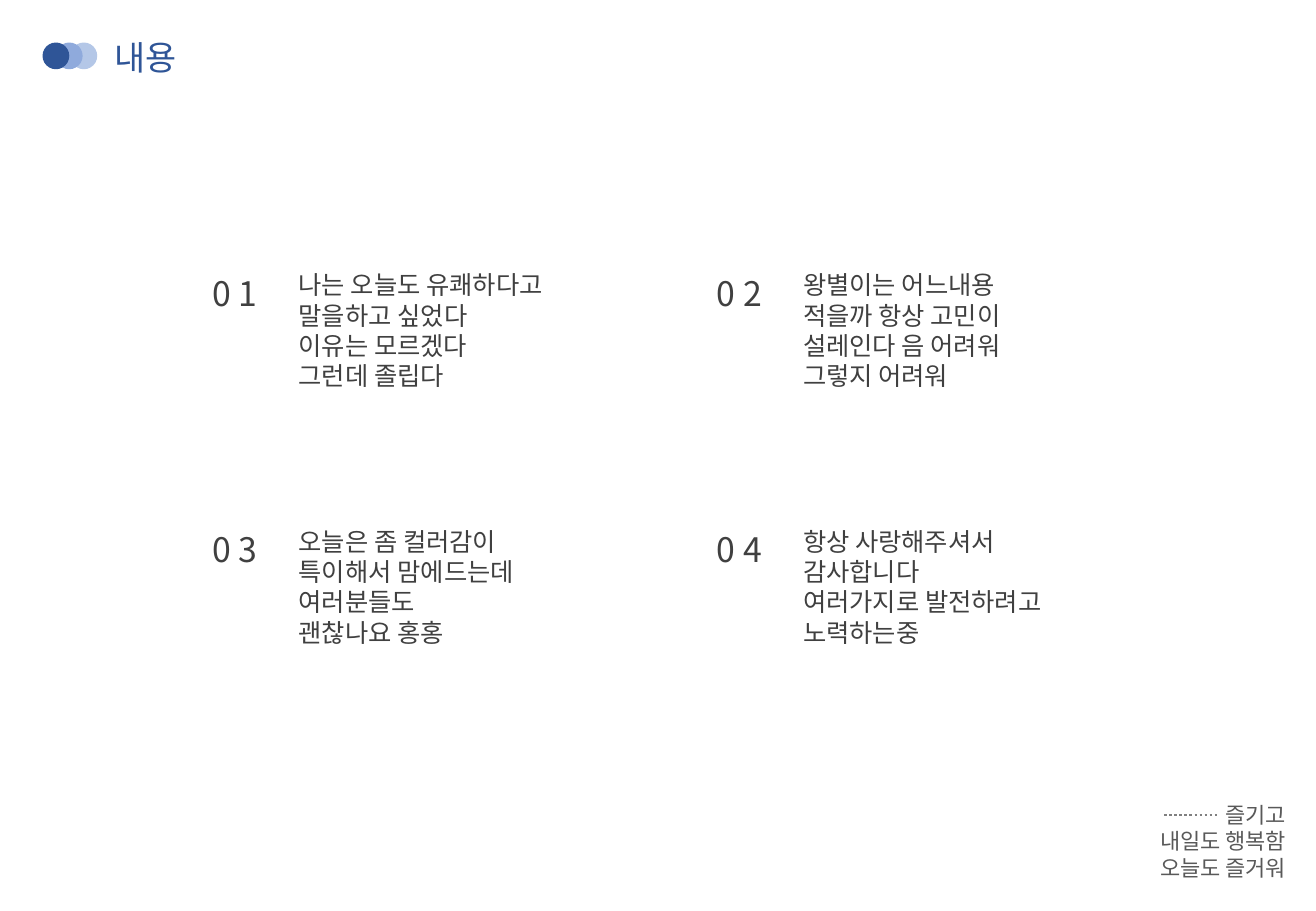
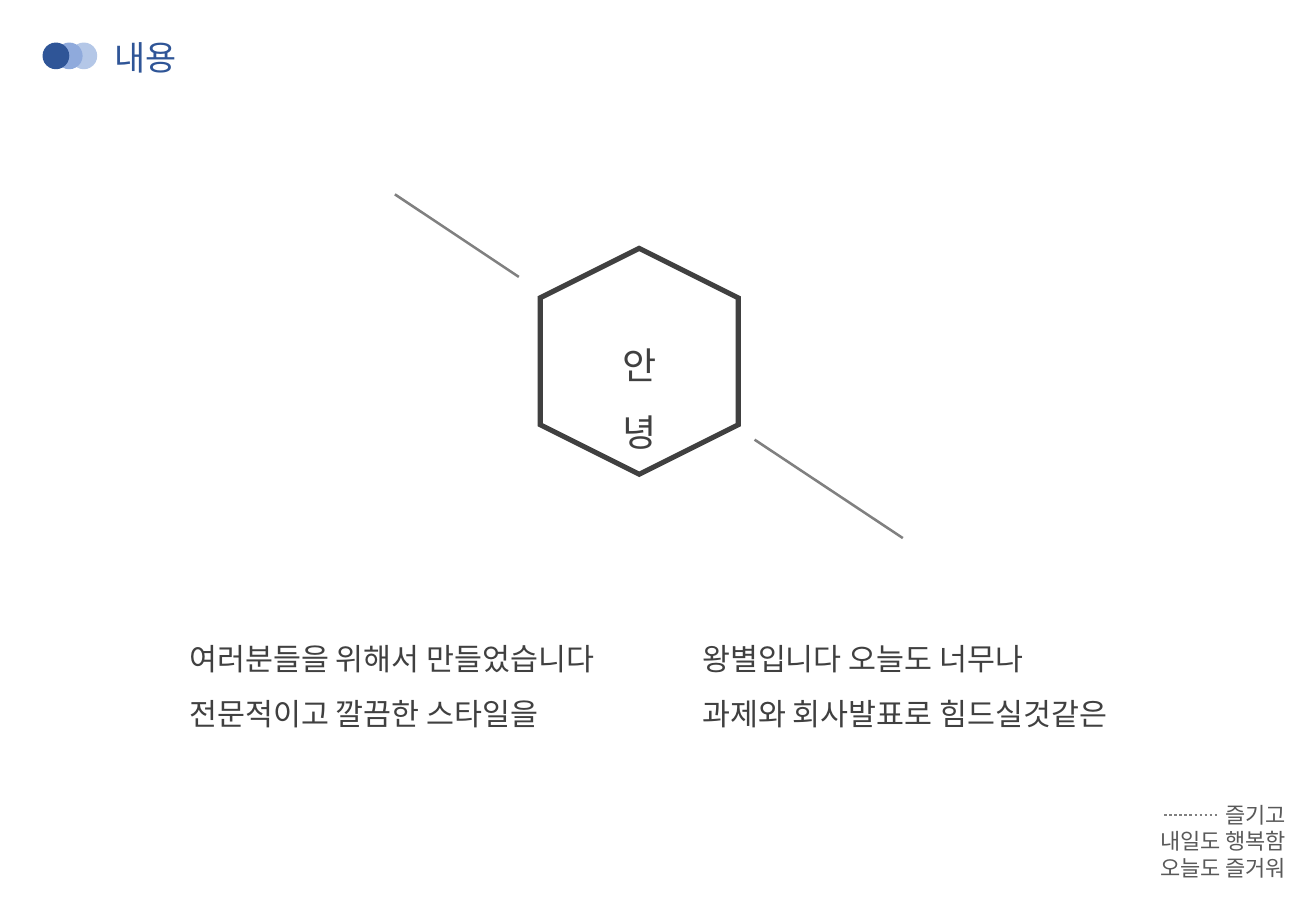
from lxml import etree
from pptx import Presentation
from pptx.dml.color import RGBColor
from pptx.enum.dml import MSO_LINE
from pptx.enum.shapes import MSO_CONNECTOR, MSO_SHAPE
from pptx.enum.text import MSO_ANCHOR, MSO_AUTO_SIZE, PP_ALIGN
from pptx.oxml.ns import qn
from pptx.util import Inches, Pt

NAVY = RGBColor(0x2F, 0x55, 0x97)
BLUE = RGBColor(0x8F, 0xAA, 0xDC)
PALE = RGBColor(0xB4, 0xC7, 0xE7)
DARK = RGBColor(0x40, 0x40, 0x40)
SLATE = RGBColor(0x59, 0x59, 0x59)
GRAY = RGBColor(0x80, 0x80, 0x80)
FONT = "Noto Sans CJK KR"

LEFT, CENTER, RIGHT = PP_ALIGN.LEFT, PP_ALIGN.CENTER, PP_ALIGN.RIGHT
TOP, GROW = MSO_ANCHOR.TOP, MSO_AUTO_SIZE.SHAPE_TO_FIT_TEXT
OVAL, HEXAGON = MSO_SHAPE.OVAL, MSO_SHAPE.HEXAGON
STRAIGHT, DOTTED = MSO_CONNECTOR.STRAIGHT, MSO_LINE.ROUND_DOT

TITLE_ONLY = 5
DOT = 0.22
DOTS = [(0.58, PALE), (0.46, BLUE), (0.35, NAVY)]
FOOTER = ["즐기고", "내일도 행복함", "오늘도 즐거워"]

COL, ROW = 4.15, 2.11
ITEMS = [
    ["나는 오늘도 유쾌하다고", "말을하고 싶었다", "이유는 모르겠다", "그런데 졸립다"],
    ["왕별이는 어느내용", "적을까 항상 고민이", "설레인다 음 어려워", "그렇지 어려워"],
    ["오늘은 좀 컬러감이", "특이해서 맘에드는데", "여러분들도", "괜찮나요 홍홍"],
    ["항상 사랑해주셔서", "감사합니다", "여러가지로 발전하려고", "노력하는중"],
]
NOTES = [
    (1.46, 5.42, ["여러분들을 위해서 만들었습니다", "전문적이고 깔끔한 스타일을"]),
    (5.68, 3.96, ["왕별입니다 오늘도 너무나", "과제와 회사발표로 힘드실것같은"]),
]
RAYS = [(3.25, 1.6, 4.27, 2.28), (6.21, 3.62, 7.43, 4.43)]


def write(box, lines, size, color, align=LEFT, spacing=None):
    """Fill a text box or placeholder, one paragraph per line."""
    frame = box.text_frame
    frame.word_wrap = True
    frame.auto_size = GROW
    frame.vertical_anchor = TOP
    frame.text = "\n".join(lines)
    for para in frame.paragraphs:
        para.alignment = align
        para.line_spacing = spacing
        para.font.size = Pt(size)
        para.font.color.rgb = color
        para.font.name = FONT
        props = para._p.pPr.find(qn("a:defRPr"))
        etree.SubElement(props, qn("a:ea"), typeface=FONT)


def rule(shapes, ends, dash=None):
    """Draw a thin gray line between two points."""
    line = shapes.add_connector(STRAIGHT, *map(Inches, ends))
    line.line.color.rgb = GRAY
    line.line.width = Pt(1.5)
    if dash:
        line.line.dash_style = dash
    etree.SubElement(line._element.spPr, qn("a:effectLst"))


deck = Presentation()
deck.slide_width, deck.slide_height = Inches(10.83), Inches(7.5)
slides = [deck.slides.add_slide(deck.slide_layouts[TITLE_ONLY]) for _ in range(2)]

# Shared title, dots and footer
for slide in slides:
    shapes = slide.shapes
    title = shapes.title
    title.left, title.top, title.width, title.height = map(
        Inches, (0.84, 0.25, 5.24, 0.44))
    write(title, ["내용"], 20, NAVY)
    for left, color in DOTS:
        dot = shapes.add_shape(OVAL, *map(Inches, (left, 0.35, DOT, DOT)))
        dot.shadow.inherit = False
        dot.fill.solid()
        dot.fill.fore_color.rgb = color
        dot.line.fill.background()
    footer = shapes.add_textbox(*map(Inches, (9.1, 6.55, 1.58, 0.76)))
    write(footer, FOOTER, 13, SLATE, RIGHT)
    rule(shapes, (9.58, 6.71, 10.02, 6.71), DOTTED)

# Four numbered items in a two by two grid
agenda, hello = slides
for i, lines in enumerate(ITEMS):
    row, col = divmod(i, 2)
    left, top = 1.65 + col * COL, 2.03 + row * ROW
    shapes = agenda.shapes.add_group_shape().shapes
    number = shapes.add_textbox(*map(Inches, (left, top, 1.68, 0.61)))
    write(number, [f"0 {i + 1}"], 20, DARK, spacing=1.5)
    body = shapes.add_textbox(*map(Inches, (left + 0.71, top + 0.14, 2.85, 1.11)))
    write(body, lines, 15, DARK)

# Hexagon with two rays and two notes
shapes = hello.shapes
hexagon = shapes.add_shape(HEXAGON, *map(Inches, (4.33, 2.16, 1.86, 1.63)))
hexagon.rotation = 90
hexagon.shadow.inherit = False
hexagon.fill.background()
hexagon.line.color.rgb = DARK
hexagon.line.width = Pt(3)
etree.SubElement(hexagon._element.spPr.find(qn("a:ln")), qn("a:miter"), lim="800000")
for ends in RAYS:
    rule(shapes, ends)
label = shapes.add_textbox(*map(Inches, (4.89, 2.59, 0.74, 0.6)))
write(label, ["안 녕"], 22, DARK, CENTER, 1.5)
for left, width, lines in NOTES:
    note = shapes.add_textbox(*map(Inches, (left, 5.07, width, 1.01)))
    write(note, lines, 18, DARK, spacing=1.5)

deck.save("out.pptx")
